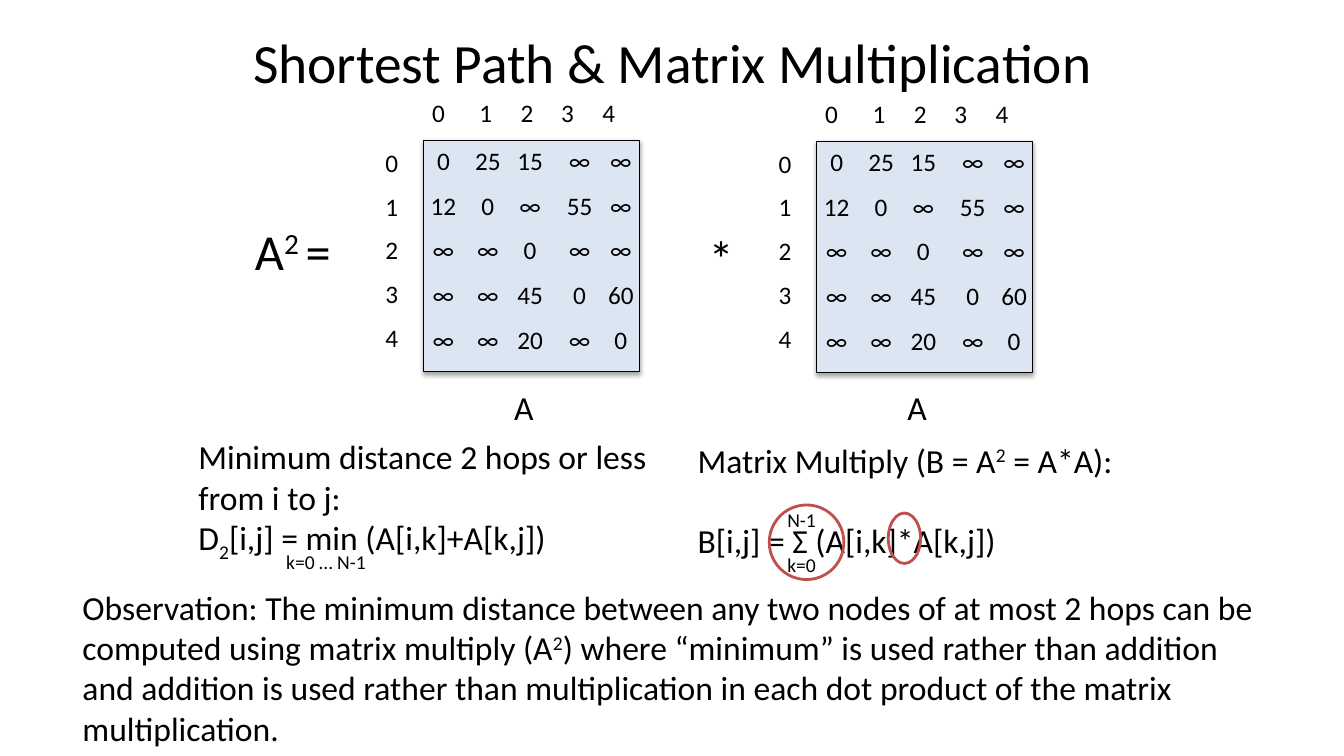
from lxml import etree
from pptx import Presentation
from pptx.dml.color import RGBColor
from pptx.enum.shapes import MSO_SHAPE
from pptx.enum.text import MSO_ANCHOR, PP_ALIGN
from pptx.oxml.ns import qn
from pptx.util import Inches, Pt

RECT, OVAL = MSO_SHAPE.RECTANGLE, MSO_SHAPE.OVAL
LEFT, CENTER = PP_ALIGN.LEFT, PP_ALIGN.CENTER
MIDDLE = MSO_ANCHOR.MIDDLE


def tint(code):
    return RGBColor.from_string(code)


def fill(frame, text, size=18, align=LEFT, wrap=True, base=30000, gap=0, stops=()):
    frame.word_wrap = wrap
    for row, line in enumerate(text.split("\n")):
        para = frame.add_paragraph() if row else frame.paragraphs[0]
        if stops:
            tabs = etree.SubElement(para._p.get_or_add_pPr(), qn("a:tabLst"))
            for stop in stops:
                etree.SubElement(tabs, qn("a:tab"), pos=str(Inches(stop)), algn="ctr")
        para.alignment = align
        if row:
            para.space_before = Pt(gap)
        for part, word in enumerate(line.split("^")):
            run = para.add_run()
            run.text = word
            for key, value in {"name": "Calibri", "size": Pt(size)}.items():
                setattr(run.font, key, value)
            run.font.color.rgb = tint("000000")
            if part % 2:
                run._r.get_or_add_rPr().set("baseline", str(base))


deck = Presentation()
deck.slide_width, deck.slide_height = Inches(13.33), Inches(7.5)
slide = deck.slides.add_slide(deck.slide_layouts[5])
shapes = slide.shapes

title = shapes.title
place = {"left": 2.17, "top": 0.13, "width": 9, "height": 0.96}
for key, value in place.items():
    setattr(title, key, Inches(value))
title.text_frame.vertical_anchor = MIDDLE
fill(title.text_frame, "Shortest Path & Matrix Multiplication", 39.6, CENTER)

matrix = [
    ["0", "25", "15", "∞", "∞"],
    ["12", "0", "∞", "55", "∞"],
    ["∞", "∞", "0", "∞", "∞"],
    ["∞", "∞", "45", "0", "60"],
    ["∞", "∞", "20", "∞", "0"],
]
heads = [0.15, 0.62, 1.03, 1.43, 1.84]
cols = [0.2, 0.64, 1.06, 1.55, 1.96]

texts = []
for left, top in [(4.2, 1.39), (8.1, 1.4)]:
    panel = shapes.add_shape(RECT, Inches(left), Inches(top), Inches(2.14), Inches(2.3))
    panel.fill.solid()
    panel.fill.fore_color.rgb = tint("DCE6F2")
    panel.line.color.rgb = tint("000000")
    panel.line.width = Pt(0.75)
    panel.shadow.inherit = False
    glow = etree.SubElement(
        panel._element.spPr.find(qn("a:effectLst")), qn("a:outerShdw"),
        blurRad=str(Pt(3.1)), dist=str(Pt(1.8)), dir="5400000", rotWithShape="0")
    shade = etree.SubElement(glow, qn("a:srgbClr"), val="000000")
    etree.SubElement(shade, qn("a:alpha"), val="35000")

    head = "".join(f"\t{col}" for col in range(len(matrix)))
    texts.append((head, left - 0.1, top - 0.47, 2.4, 0.4, {"stops": heads}))
    for row, cells in enumerate(matrix):
        line = "".join(f"\t{cell}" for cell in cells)
        texts += [
            (str(row), left - 0.48, top + 0.02 + row * 0.434, 0.33, 0.4,
             {"align": CENTER, "wrap": False}),
            (line, left - 0.1, top + row * 0.445, 2.4, 0.4, {"stops": cols}),
        ]
    texts.append(("A", left - 0.75, 3.79, 3.49, 0.5, {"size": 24, "align": CENTER}))

large = {"size": 36, "wrap": False}
body = {"size": 24}
small = {"size": 14, "wrap": False}
texts += [
    ("A^2 ^=", 2.43, 2.13, 0.99, 0.71, large),
    ("*", 6.93, 2.2, 0.45, 0.71, large),
    ("Minimum distance 2 hops or less from i to j:\nD^2^[i,j] = min (A[i,k]+A[k,j])",
     1.87, 4.28, 4.7, 1.31, {"size": 24, "base": -25000}),
    ("k=0 … N-1", 2.74, 5.41, 1, 0.34, small),
    ("Matrix Multiply (B = A^2^ = A*A):\nB[i,j] = Σ (A[i,k]*A[k,j])",
     6.82, 4.31, 4.55, 1.31, {"size": 24, "gap": 29}),
    ("k=0", 7.71, 5.44, 0.49, 0.34, small),
    ("N-1", 7.71, 4.99, 0.49, 0.34, small),
    ("Observation: The minimum distance between any two nodes of at most 2 hops "
     "can be computed using matrix multiply (A^2^) where “minimum” is used rather "
     "than addition and addition is used rather than multiplication in each dot "
     "product of the matrix multiplication.", 0.72, 5.77, 12, 1.72, body),
]
for text, left, top, width, height, style in texts:
    box = shapes.add_textbox(Inches(left), Inches(top), Inches(width), Inches(height))
    fill(box.text_frame, text, **style)

for left, top, width, height in [(8.81, 5.09, 0.32, 0.5), (7.63, 5.01, 0.74, 0.74)]:
    ring = shapes.add_shape(OVAL, Inches(left), Inches(top), Inches(width), Inches(height))
    ring.fill.background()
    ring.line.color.rgb = tint("C0504D")
    ring.line.width = Pt(2)
    ring.shadow.inherit = False

deck.save("out.pptx")
